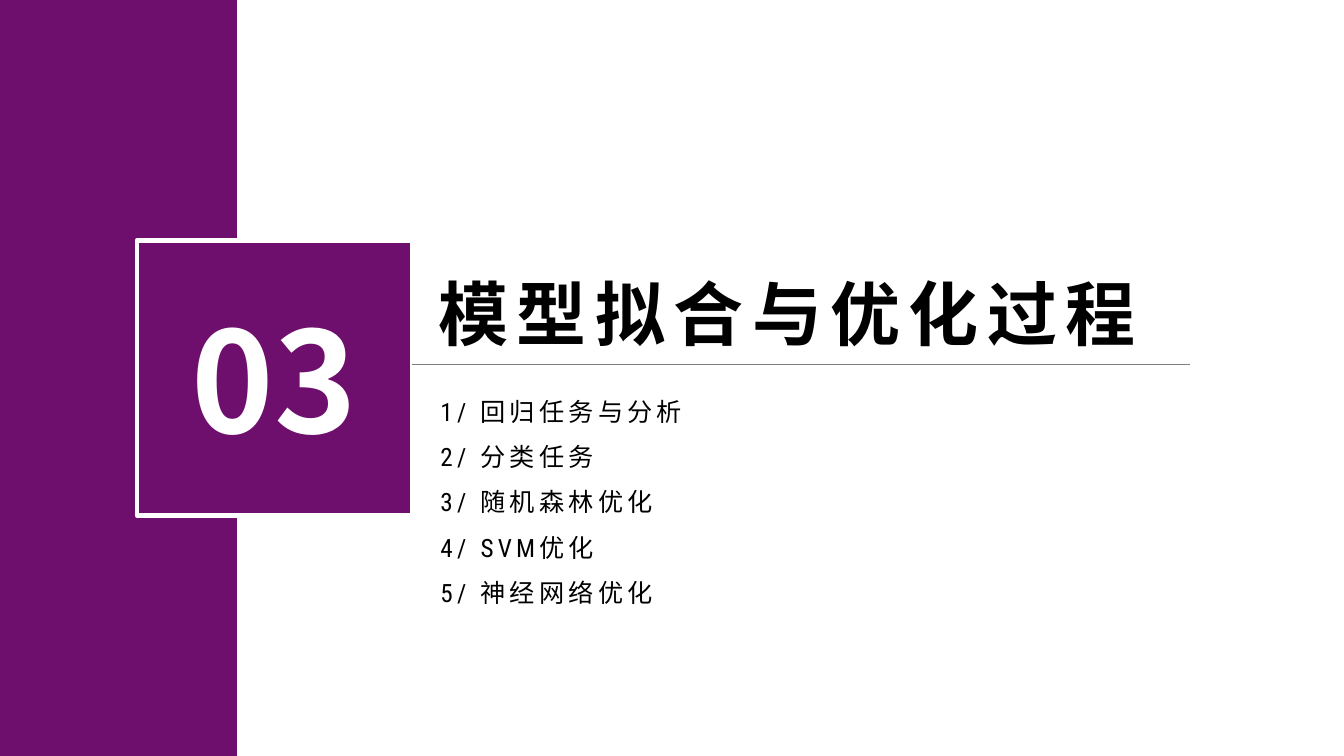
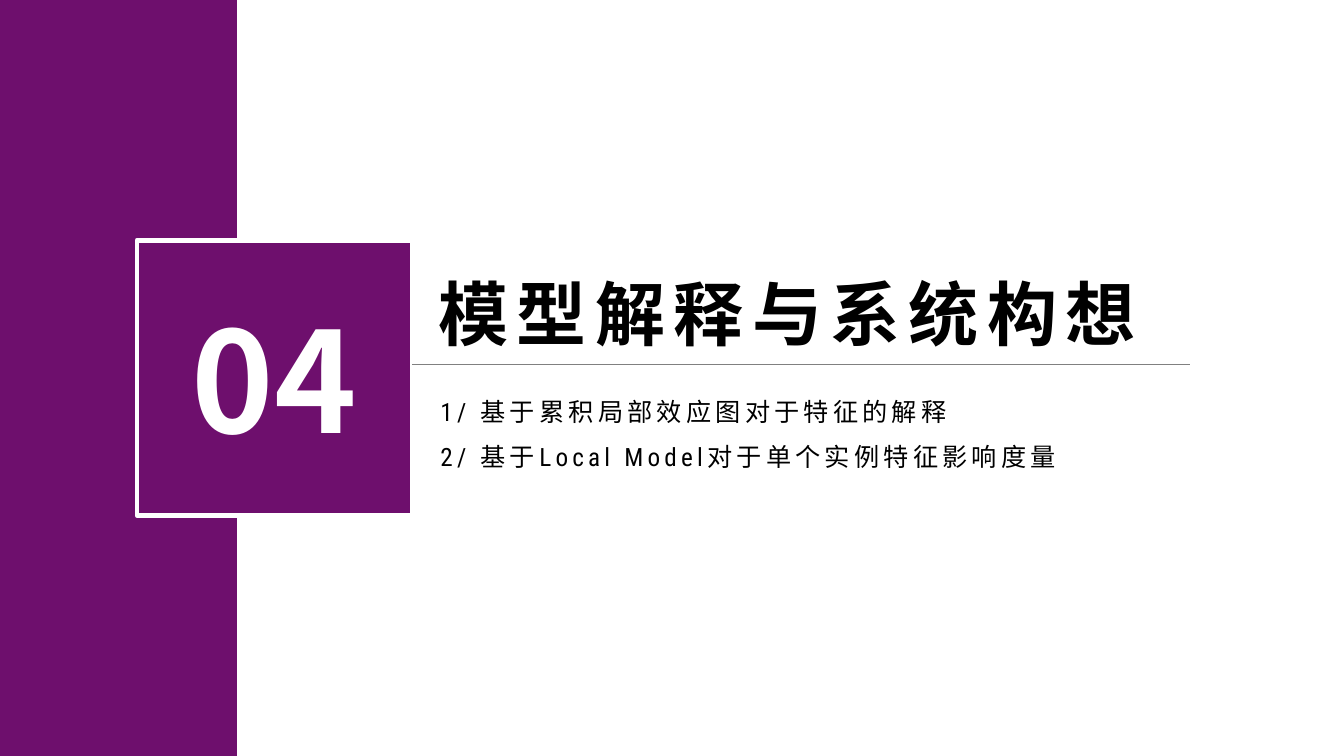
import lxml.etree
import pptx
import pptx.dml.color
import pptx.enum.shapes
import pptx.enum.text
import pptx.oxml.ns
import pptx.util

Cm, Pt = pptx.util.Cm, pptx.util.Pt
qn = pptx.oxml.ns.qn

# Content: number, title, topics
SECTIONS = [
    ("03", "模型拟合与优化过程",
     ["回归任务与分析", "分类任务", "随机森林优化", "SVM优化", "神经网络优化"]),
    ("04", "模型解释与系统构想",
     ["基于累积局部效应图对于特征的解释", "基于Local Model对于单个实例特征影响度量"]),
]

# Shared look
PURPLE, WHITE, BLACK, GRAY = "6E0F6D", "FFFFFF", "000000", "808080"
CJK = "Noto Sans CJK SC"
NUMBER_FONT = {"size": Pt(100), "bold": True, "name": CJK}
TITLE_FONT = {"size": Pt(50), "bold": True, "name": CJK}
TOPIC_FONT = {"size": Pt(18), "name": "Roboto Condensed"}

# Shared layout, in centimetres
WIDTH, HEIGHT = 33.87, 19.05
BAND_WIDTH = 5.97
SQUARE_LEFT, SQUARE_SIDE = 3.45, 6.93
SQUARE_TOP = (HEIGHT - SQUARE_SIDE) / 2
RULE_LEFT, RULE_RIGHT, RULE_Y = 10.39, 30, 9.19
TITLE_BOX = (10.8, 6.68, 20.2, 2.39)
TOPICS_LEFT, TOPICS_TOP, TOPICS_WIDTH, TOPIC_PITCH = 11.1, 9.6, 17.12, 1.15


def rgb(value):
    return pptx.dml.color.RGBColor.from_string(value)


def write(paragraph, text, style, color, spacing=0):
    run = paragraph.add_run()
    run.text = text
    run.font.color.rgb = rgb(color)
    for key, value in style.items():
        setattr(run.font, key, value)
    properties = run._r.get_or_add_rPr()
    if spacing:
        properties.set("spc", str(spacing * 100))
    lxml.etree.SubElement(properties, qn("a:ea")).set("typeface", CJK)


def add_block(slide, box, outline=None):
    block = slide.shapes.add_shape(
        pptx.enum.shapes.MSO_SHAPE.RECTANGLE, *map(Cm, box))
    block.shadow.inherit = False
    block.fill.solid()
    block.fill.fore_color.rgb = rgb(PURPLE)
    if outline:
        block.line.color.rgb = rgb(outline)
        block.line.width = Pt(3.25)
    else:
        block.line.fill.background()
    return block


def add_text(slide, box, **margins):
    frame = slide.shapes.add_textbox(*map(Cm, box)).text_frame
    frame.word_wrap = True
    for key, value in margins.items():
        setattr(frame, key, value)
    return frame


def add_section(deck, number, title, topics):
    slide = deck.slides.add_slide(deck.slide_layouts[6])

    # Side band and numbered square
    add_block(slide, (0, 0, BAND_WIDTH, HEIGHT))
    square = add_block(
        slide, (SQUARE_LEFT, SQUARE_TOP, SQUARE_SIDE, SQUARE_SIDE), WHITE)
    square.text_frame.vertical_anchor = pptx.enum.text.MSO_ANCHOR.MIDDLE
    heading = square.text_frame.paragraphs[0]
    heading.alignment = pptx.enum.text.PP_ALIGN.CENTER
    write(heading, number, NUMBER_FONT, WHITE)

    # Title and rule
    write(add_text(slide, TITLE_BOX).paragraphs[0], title, TITLE_FONT, BLACK, 6)
    rule = slide.shapes.add_connector(
        pptx.enum.shapes.MSO_CONNECTOR.STRAIGHT,
        Cm(RULE_LEFT), Cm(RULE_Y), Cm(RULE_RIGHT), Cm(RULE_Y))
    rule.line.color.rgb = rgb(GRAY)
    rule.line.width = Pt(0.75)
    lxml.etree.SubElement(rule._element.spPr, qn("a:effectLst"))

    # Numbered topics
    frame = add_text(
        slide,
        (TOPICS_LEFT, TOPICS_TOP, TOPICS_WIDTH, TOPIC_PITCH * len(topics)),
        margin_left=0, margin_top=0, margin_right=0, margin_bottom=0)
    for index, topic in enumerate(topics, 1):
        line = frame.paragraphs[0] if index == 1 else frame.add_paragraph()
        line.line_spacing = 1.5
        write(line, f"{index}/ {topic}", TOPIC_FONT, BLACK, 3)


def main():
    deck = pptx.Presentation()
    deck.slide_width, deck.slide_height = Cm(WIDTH), Cm(HEIGHT)
    for section in SECTIONS:
        add_section(deck, *section)
    deck.save("out.pptx")


if __name__ == "__main__":
    main()
